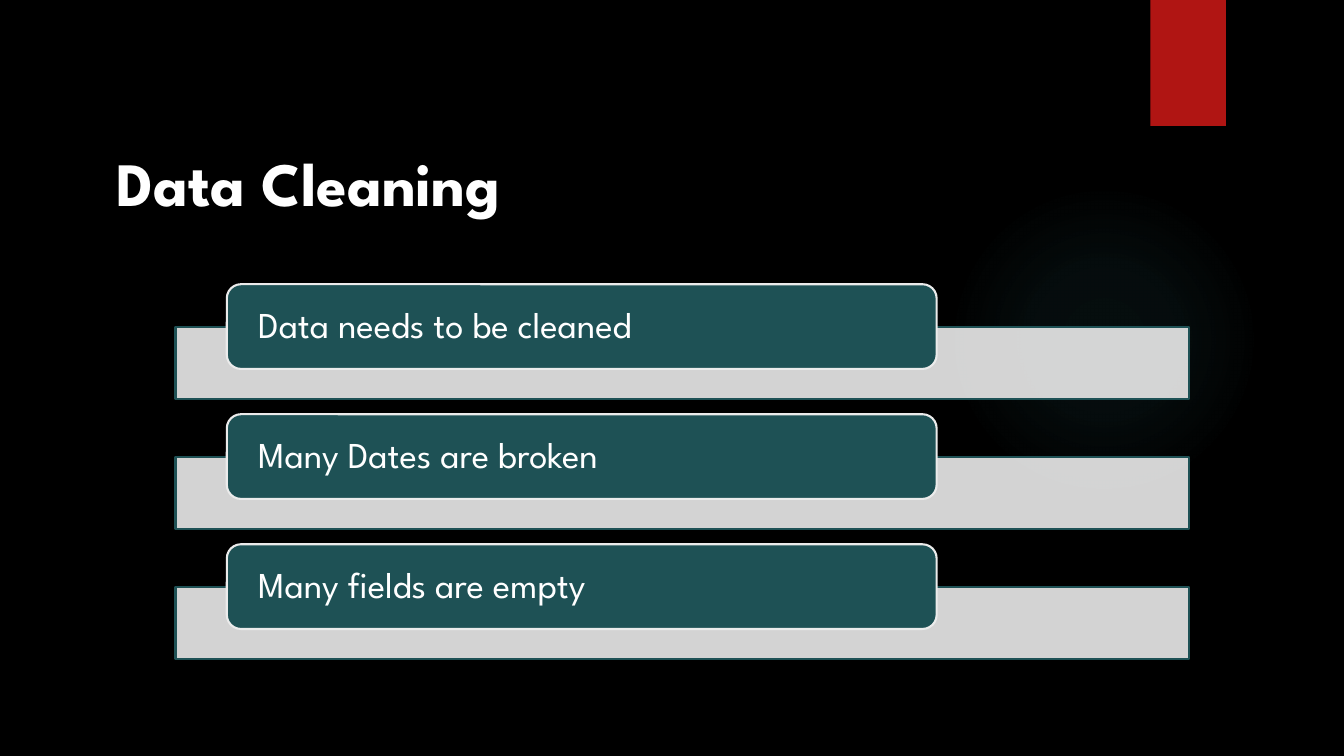
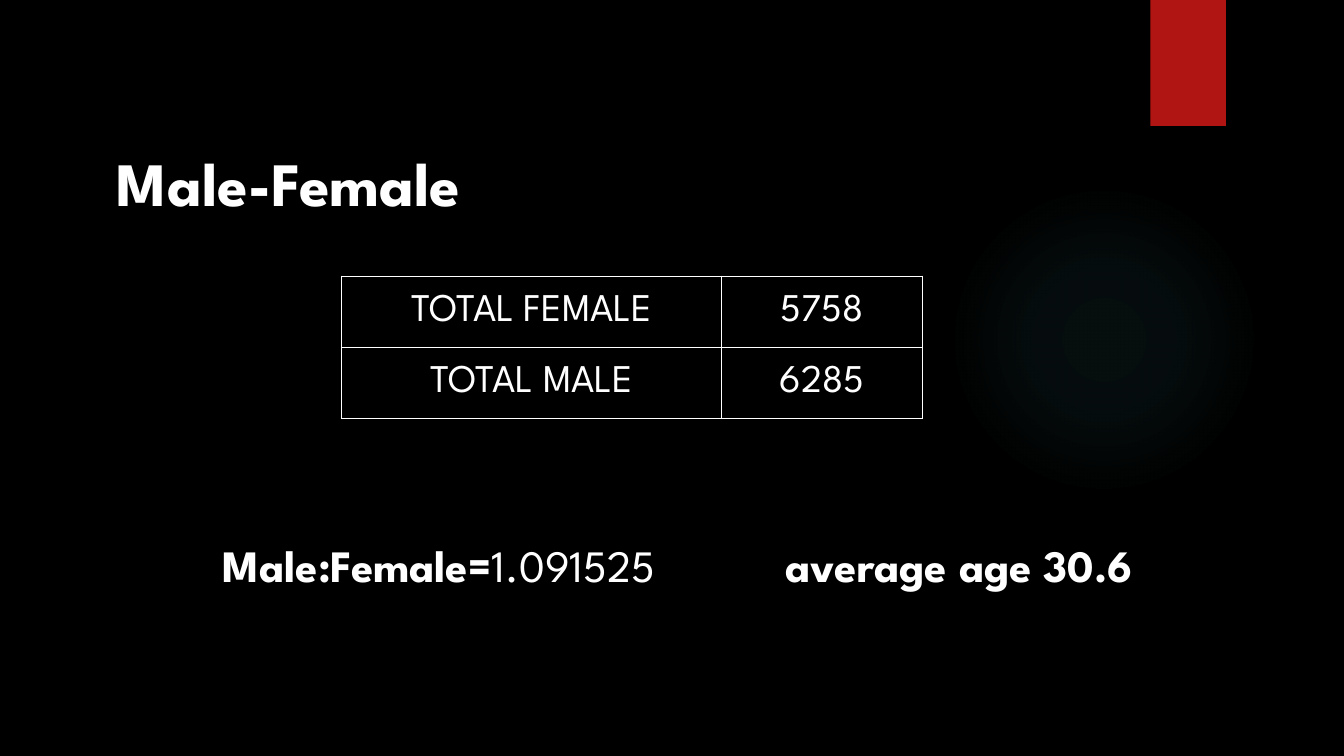
"""Builds two dark slides on data cleaning and the male-female split."""
from pptx import Presentation
from pptx.dml.color import RGBColor
from pptx.enum.shapes import MSO_SHAPE
from pptx.enum.text import MSO_ANCHOR, MSO_AUTO_SIZE, PP_ALIGN
from pptx.oxml import parse_xml
from pptx.oxml.ns import nsdecls, qn
from pptx.util import Inches, Pt

FONT = "League Spartan"
COLORS = {
    "background": "000000",
    "text": "FFFFFF",
    "glow": "50B9C1",
    "ribbon": "B01513",
    "teal": "1E5155",
    "light": "EBEBEB",
}


def add_box(slide, kind, left, top, width, height, fill, line=None):
    shape = slide.shapes.add_shape(
        kind, Inches(left), Inches(top), Inches(width), Inches(height))
    shape.shadow.inherit = False
    shape.fill.solid()
    shape.fill.fore_color.rgb = RGBColor.from_string(COLORS[fill])
    if line:
        shape.line.color.rgb = RGBColor.from_string(COLORS[line])
        shape.line.width = Pt(1.5)
    else:
        shape.line.fill.background()
    return shape


def format_runs(paragraph, size, bold=False):
    for run in paragraph.runs:
        run.font.name = FONT
        run.font.size = Pt(size)
        run.font.bold = bold
        run.font.color.rgb = RGBColor.from_string(COLORS["text"])


presentation = Presentation()
presentation.slide_width = Inches(13.33)
presentation.slide_height = Inches(7.5)
background = presentation.slide_master.background.fill
background.solid()
background.fore_color.rgb = RGBColor.from_string(COLORS["background"])

slides = []
for title_text in ("Data Cleaning", "Male-Female"):
    slide = presentation.slides.add_slide(presentation.slide_layouts[5])
    slides.append(slide)

    glow = add_box(slide, MSO_SHAPE.OVAL, 9.41, 1.83, 3.08, 3.08, "glow")
    stops = "".join(
        f'<a:gs pos="{position * 1000}"><a:srgbClr val="{COLORS["glow"]}">'
        f'<a:alpha val="{alpha * 1000}"/></a:srgbClr></a:gs>'
        for position, alpha in ((0, 7), (36, 6), (69, 0)))
    gradient = parse_xml(
        f'<a:gradFill {nsdecls("a")}><a:gsLst>{stops}</a:gsLst><a:path path="circle">'
        '<a:fillToRect l="50000" t="50000" r="50000" b="50000"/></a:path></a:gradFill>')
    properties = glow.element.spPr
    properties.replace(properties.find(qn("a:solidFill")), gradient)

    add_box(slide, MSO_SHAPE.RECTANGLE, 11.41, 0, 0.75, 1.25, "ribbon")

    title = slide.shapes.title
    title.left, title.top = Inches(1.06), Inches(1.39)
    title.width, title.height = Inches(9.28), Inches(0.84)
    title.text_frame.text = title_text
    title.text_frame.vertical_anchor = MSO_ANCHOR.TOP
    title.text_frame.auto_size = MSO_AUTO_SIZE.SHAPE_TO_FIT_TEXT
    paragraph = title.text_frame.paragraphs[0]
    paragraph.alignment = PP_ALIGN.LEFT
    format_runs(paragraph, 44, True)

cleaning_slide, gender_slide = slides

issues = ("Data needs to be cleaned", "Many Dates are broken", "Many fields are empty")
for index, issue in enumerate(issues):
    top = 2.82 + index * 1.29
    bar = add_box(cleaning_slide, MSO_SHAPE.RECTANGLE,
                  1.74, top + 0.42, 10.05, 0.72, "light", "teal")
    bar_color = bar.element.spPr.find(qn("a:solidFill"))[0]
    bar_color.append(parse_xml(f'<a:alpha {nsdecls("a")} val="90000"/>'))

    label = add_box(cleaning_slide, MSO_SHAPE.ROUNDED_RECTANGLE,
                    2.25, top, 7.04, 0.84, "teal", "light")
    frame = label.text_frame
    frame.text = issue
    frame.vertical_anchor = MSO_ANCHOR.MIDDLE
    frame.margin_left = frame.margin_right = Inches(0.27)
    frame.margin_top = frame.margin_bottom = 0
    paragraph = frame.paragraphs[0]
    paragraph.alignment = PP_ALIGN.LEFT
    paragraph.line_spacing = 0.9
    format_runs(paragraph, 26)

totals = (("TOTAL FEMALE", "5758"), ("TOTAL MALE", "6285"))
table = gender_slide.shapes.add_table(
    2, 2, Inches(3.39), Inches(2.74), Inches(5.76), Inches(1.41)).table
table.first_row = False
table.horz_banding = False
for column, width in zip(table.columns, (3.77, 1.99)):
    column.width = Inches(width)
for row, values in zip(table.rows, totals):
    for cell, value in zip(row.cells, values):
        cell.text_frame.text = value
        cell.vertical_anchor = MSO_ANCHOR.MIDDLE
        cell.margin_left = cell.margin_right = cell.margin_top = Inches(0.01)
        cell.margin_bottom = 0
        paragraph = cell.text_frame.paragraphs[0]
        paragraph.alignment = PP_ALIGN.CENTER
        format_runs(paragraph, 28)
        cell_properties = cell._tc.get_or_add_tcPr()
        for side in "LRTB":
            cell_properties.append(parse_xml(
                f'<a:ln{side} {nsdecls("a")} w="12700"><a:solidFill>'
                f'<a:srgbClr val="{COLORS["text"]}"/></a:solidFill></a:ln{side}>'))
        cell.fill.background()

figures = (
    (2.11, 9.28, True, ("Male:Female=", "1.091525")),
    (7.69, 4.2, False, ("average age 30.6",)),
)
for left, width, wrap, parts in figures:
    text_box = gender_slide.shapes.add_textbox(
        Inches(left), Inches(5.29), Inches(width), Inches(0.64))
    text_box.text_frame.word_wrap = wrap
    text_box.text_frame.auto_size = MSO_AUTO_SIZE.SHAPE_TO_FIT_TEXT
    paragraph = text_box.text_frame.paragraphs[0]
    for part in parts:
        paragraph.add_run().text = part
    format_runs(paragraph, 32, True)
    for run in paragraph.runs[1:]:
        run.font.bold = False

presentation.save("out.pptx")
